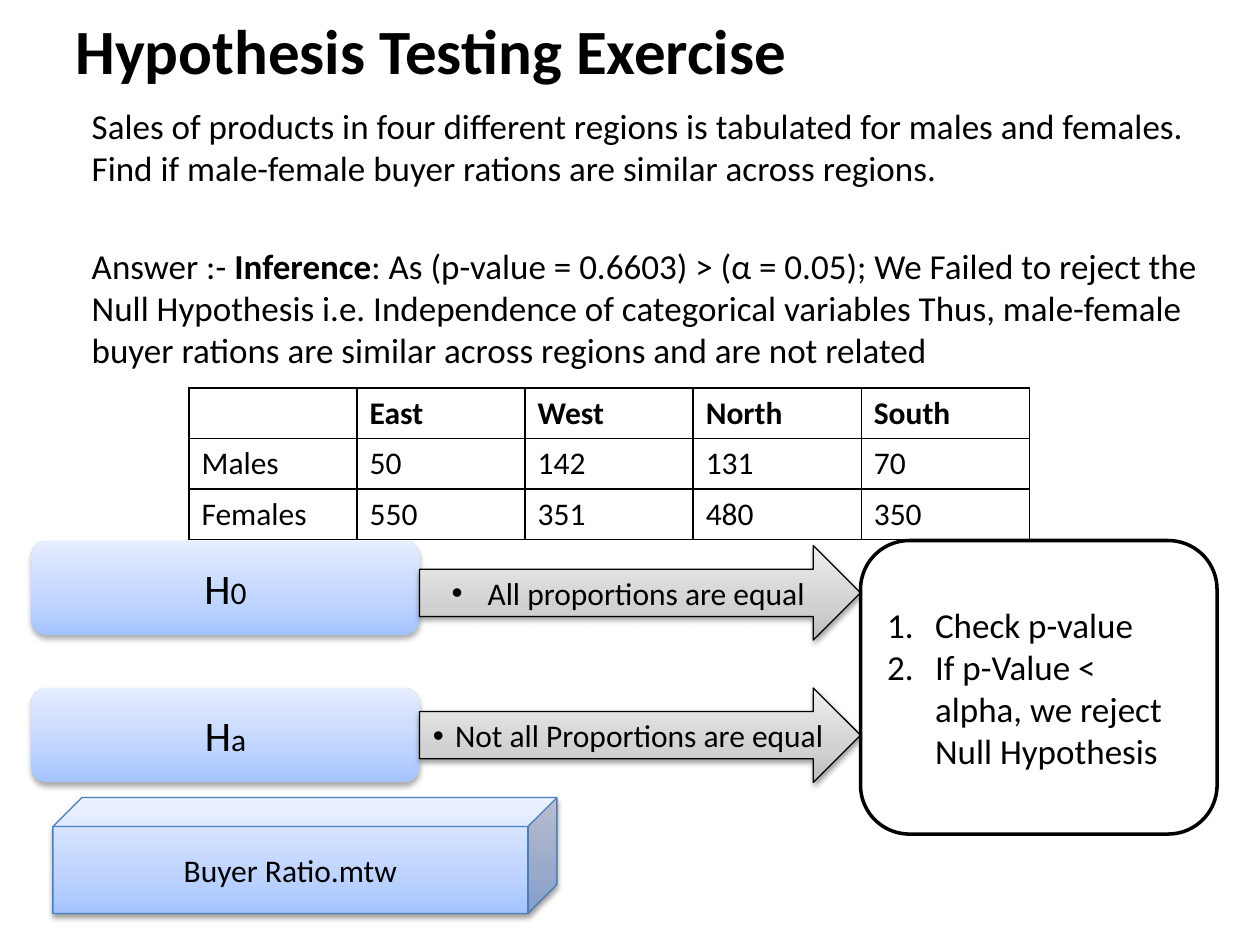
"""Build the hypothesis testing exercise slide."""
from lxml import etree
from pptx import Presentation
from pptx import util as u
from pptx.dml.color import RGBColor
from pptx.enum import shapes, text
from pptx.oxml.ns import qn

THEME = {
    "font": "Calibri", "black": "000000", "white": "FFFFFF", "cube_line": "4B7EBC",
    "blue": [(0, "A4C4FF"), (35, "BFD4FF"), (100, "E6EEFF")],
    "grey": [(0, "BDBDBD"), (35, "D1D1D1"), (100, "EEEEEE")],
    "title": 36, "symbol": 24, "body": 20, "label": 18,
}
CENTER = text.PP_ALIGN.CENTER
KINDS = shapes.MSO_SHAPE


def add_run(paragraph, words, size, bold=False):
    """Append a styled run."""
    run = paragraph.add_run()
    run.text = words
    run.font.name = THEME["font"]
    run.font.size = u.Pt(size)
    run.font.bold = bold
    run.font.color.rgb = RGBColor.from_string(THEME["black"])


def add_element(parent, tag, **attributes):
    """Append a DrawingML element and return it."""
    return etree.SubElement(parent, qn(f"a:{tag}"), {k: str(v) for k, v in attributes.items()})


presentation = Presentation()
presentation.slide_width, presentation.slide_height = u.Inches(10), u.Inches(7.5)
slide = presentation.slides.add_slide(presentation.slide_layouts[6])

title = slide.shapes.add_textbox(u.Inches(0.5), 0, u.Inches(9), u.Inches(0.78))
title.text_frame.word_wrap = True
title.text_frame.vertical_anchor = text.MSO_ANCHOR.MIDDLE
add_run(title.text_frame.paragraphs[0], "Hypothesis Testing Exercise", THEME["title"], True)

body = slide.shapes.add_textbox(u.Inches(0.63), u.Inches(0.78), u.Inches(9.2), u.Inches(2.3))
body.text_frame.word_wrap = True
question = body.text_frame.paragraphs[0]
add_run(question, "Sales of products in four different regions is tabulated for males and females. "
        "Find if male-female buyer rations are similar across regions.", THEME["body"])
answer = body.text_frame.add_paragraph()
answer.space_before = u.Pt(32)
add_run(answer, "Answer :- ", THEME["body"])
add_run(answer, "Inference", THEME["body"], True)
add_run(answer, ": As (p-value = 0.6603) > (α = 0.05); We Failed to reject the Null Hypothesis "
        "i.e. Independence of categorical variables Thus, male-female buyer rations are similar "
        "across regions and are not related", THEME["body"])

sales = [
    ["", "East", "West", "North", "South"],
    ["Males", "50", "142", "131", "70"],
    ["Females", "550", "351", "480", "350"],
]
frame = slide.shapes.add_table(3, 5, u.Inches(1.5), u.Inches(3.08), u.Inches(6.67), u.Inches(1.21))
table = frame.table
table.first_row = table.horz_banding = False
for row_index, values in enumerate(sales):
    table.rows[row_index].height = u.Inches(0.4)
    for column_index, value in enumerate(values):
        cell = table.cell(row_index, column_index)
        add_run(cell.text_frame.paragraphs[0], value, THEME["label"], row_index == 0)
        properties = cell._tc.get_or_add_tcPr()
        for side in ("lnL", "lnR", "lnT", "lnB"):
            border = add_element(properties, side, w=u.Pt(1))
            add_element(add_element(border, "solidFill"), "srgbClr", val=THEME["black"])
        cell.fill.background()

left, middle, right = 0.25, 3.33, 6.83
blocks = [
    (KINDS.ROUNDED_RECTANGLE, left, 4.29, 3.08, 0.75, "blue", None, (32, 3.5, 2.2),
     [("H", "symbol"), ("0", "label")], None),
    (KINDS.ROUNDED_RECTANGLE, left, 5.46, 3.08, 0.75, "blue", None, (32, 3.5, 2.2),
     [("H", "symbol"), ("a", "label")], None),
    (KINDS.RIGHT_ARROW, middle, 4.33, 3.5, 0.75, "grey", "black", (38, 3.1, 1.6),
     [(" All proportions are equal", "label")], 0.23),
    (KINDS.RIGHT_ARROW, middle, 5.46, 3.5, 0.75, "grey", "black", (38, 3.1, 1.6),
     [(" Not all Proportions are equal", "label")], 0.12),
    (KINDS.ROUNDED_RECTANGLE, right, 4.29, 2.83, 2.33, None, "black", None, [], None),
    (KINDS.CUBE, 0.42, 6.33, 4, 0.92, "blue", "cube_line", (38, 3.1, 1.6),
     [("Buyer Ratio.mtw", "label")], None),
]
for kind, x, y, width, height, gradient, line, shadow, runs, indent in blocks:
    shape = slide.shapes.add_shape(kind, *map(u.Inches, (x, y, width, height)))
    shape.shadow.inherit = False
    if gradient:
        shape.fill.gradient()
        shape.fill.gradient_angle = 90
        stops = shape._element.spPr.find(".//" + qn("a:gsLst"))
        for stop in list(stops):
            stops.remove(stop)
        for position, color in THEME[gradient]:
            add_element(add_element(stops, "gs", pos=position * 1000), "srgbClr", val=color)
    else:
        shape.fill.solid()
        shape.fill.fore_color.rgb = RGBColor.from_string(THEME["white"])
    if line:
        shape.line.color.rgb = RGBColor.from_string(THEME[line])
        shape.line.width = u.Pt(0.75 if gradient else 2)
    else:
        shape.line.fill.background()
    if shadow:
        alpha, blur, distance = shadow
        outer = add_element(shape._element.spPr.find(qn("a:effectLst")), "outerShdw",
                            blurRad=u.Pt(blur), dist=u.Pt(distance), dir=5400000, rotWithShape=0)
        add_element(add_element(outer, "srgbClr", val=THEME["black"]), "alpha", val=alpha * 1000)
    text_frame = shape.text_frame
    text_frame.word_wrap = True
    text_frame.vertical_anchor = text.MSO_ANCHOR.MIDDLE
    paragraph = text_frame.paragraphs[0]
    paragraph.alignment = CENTER
    for words, size in runs:
        add_run(paragraph, words, THEME[size])
    if indent:
        text_frame.margin_left = text_frame.margin_right = u.Inches(0.05)
        properties = paragraph._p.get_or_add_pPr()
        properties.set("marL", str(u.Inches(indent)))
        properties.set("indent", str(-u.Inches(indent)))
        add_element(properties, "buFont", typeface="Arial")
        add_element(properties, "buChar", char="•")
    if not gradient:
        for step in ("Check p-value", "If p-Value < alpha, we reject Null Hypothesis"):
            paragraph = paragraph if not paragraph.runs else text_frame.add_paragraph()
            paragraph.alignment = text.PP_ALIGN.LEFT
            add_run(paragraph, step, THEME["body"])
            properties = paragraph._p.get_or_add_pPr()
            properties.set("marL", str(u.Inches(0.38)))
            properties.set("indent", str(-u.Inches(0.38)))
            add_element(properties, "buFont", typeface=THEME["font"])
            add_element(properties, "buAutoNum", type="arabicPeriod")

presentation.save("out.pptx")
